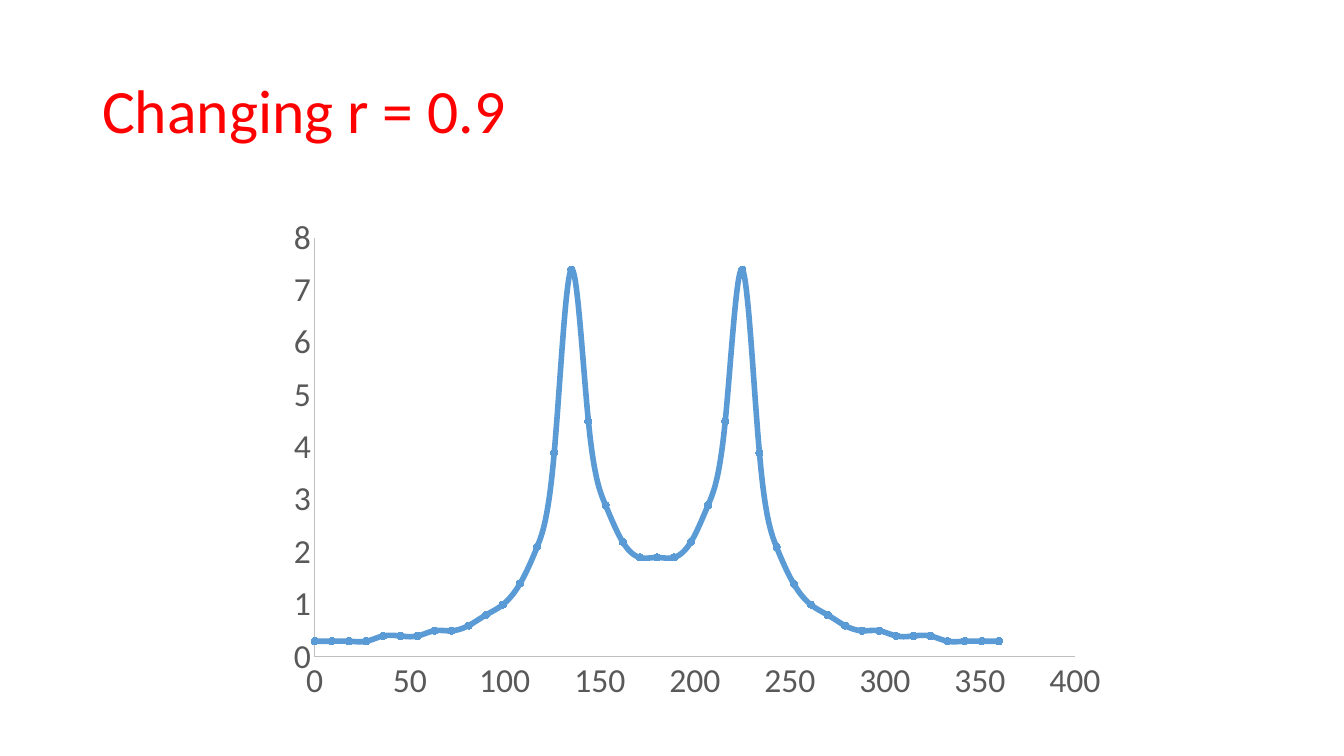
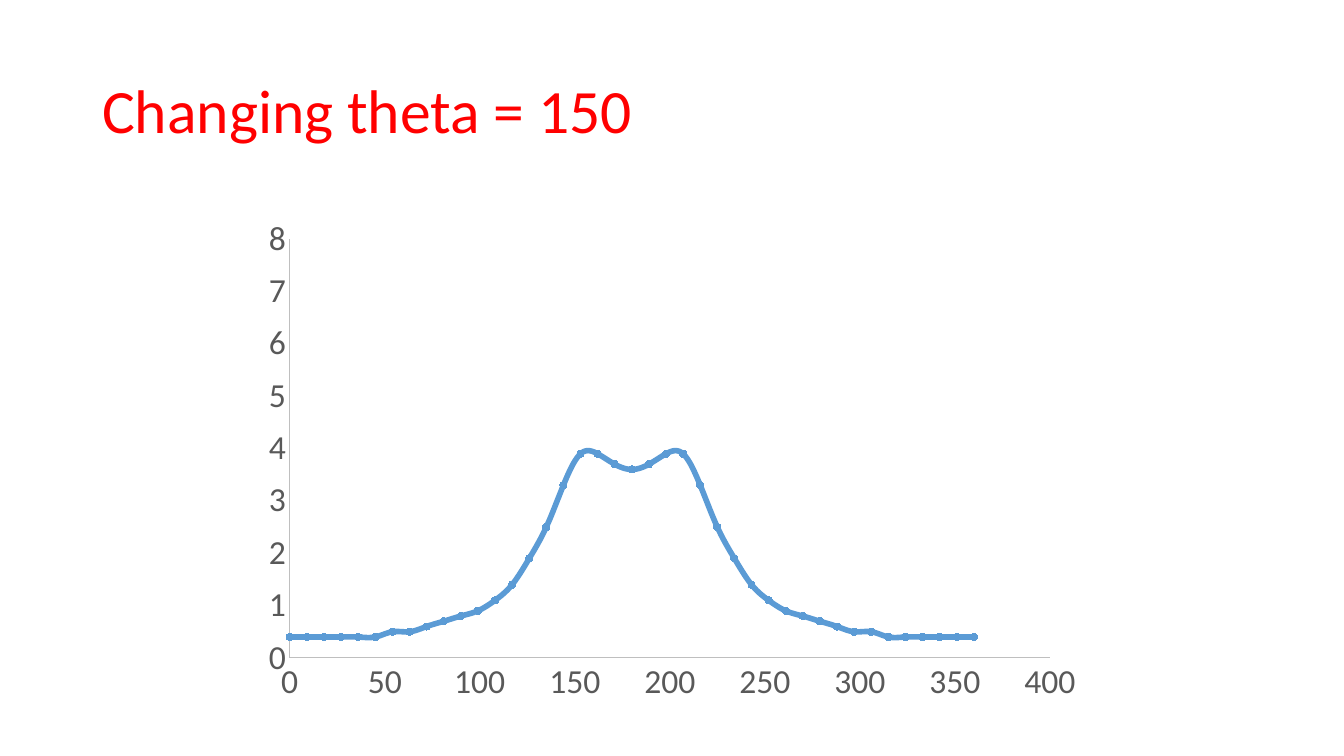
from math import cos, radians, sqrt

from lxml.etree import SubElement
from pptx import Presentation
from pptx.chart.data import XyChartData
from pptx.dml.color import RGBColor
from pptx.enum.chart import XL_CHART_TYPE as Kind, XL_MARKER_STYLE as Mark
from pptx.enum.chart import XL_TICK_MARK as Tick
from pptx.enum.text import MSO_ANCHOR as Anchor, PP_ALIGN as Align
from pptx.oxml.ns import qn
from pptx.util import Emu, Pt

FONT = "Calibri"
RED, BLUE, GREY, PALE, BLACK = "FF0000", "5B9BD5", "595959", "BFBFBF", "000000"
SIZE = 840, 504
PLOT = {"x": 38, "y": 30, "w": 760, "h": 419}
STEP = 9
SLIDES = [
    ("Changing r = 0.9", 0.9, 135, (277, 208)),
    ("Changing theta = 150", 0.7, 150, (252, 209)),
]


def px(n):
    return Emu(round(n * 914400 / 100.8))


def rgb(code):
    return RGBColor.from_string(code)


def style(font, size, color):
    font.name, font.size, font.bold = FONT, Pt(size), False
    font.color.rgb = rgb(color)


def stroke(line, color, width):
    line.color.rgb = rgb(color)
    line.width = Pt(width)


def write(shape, text, size=44, color=RED, align=Align.LEFT, space=0.9):
    frame = shape.text_frame
    frame.word_wrap = True
    frame.vertical_anchor = Anchor.MIDDLE
    para = frame.paragraphs[0]
    para.alignment, para.line_spacing = align, space
    run = para.add_run()
    run.text = text
    style(run.font, size, color)


def add_title(slide, text):
    title = slide.shapes.title
    title.left, title.top = px(92), px(41)
    title.width, title.height = px(1159), px(146)
    write(title, text)


def gain(r, theta, angle):
    """Magnitude at an angle for a pole pair of radius r at plus and minus theta."""
    near, far = (1 + r * r - 2 * r * cos(radians(angle + turn))
                 for turn in (-theta, theta))
    return 1 / sqrt(near * far)


def set_axis(axis, top, unit):
    axis.minimum_scale, axis.maximum_scale, axis.major_unit = 0, top, unit
    axis.has_major_gridlines = False
    axis.major_tick_mark = axis.minor_tick_mark = Tick.NONE
    style(axis.tick_labels.font, 24, GREY)
    stroke(axis.format.line, PALE, 0.75)


def set_plot(chart):
    """Fix the inner plot area as fractions of the chart."""
    area = chart._chartSpace.find(".//" + qn("c:plotArea"))
    old = area.find(qn("c:layout"))
    if old is not None:
        area.remove(old)
    layout = SubElement(area, qn("c:layout"))
    area.insert(0, layout)
    manual = SubElement(layout, qn("c:manualLayout"))
    rules = {"layoutTarget": "inner", "xMode": "edge", "yMode": "edge"}
    for key, n in PLOT.items():
        rules[key] = round(n / SIZE[key in "yh"], 3)
    for key, value in rules.items():
        SubElement(manual, qn("c:" + key)).set("val", str(value))


def set_curve(series):
    stroke(series.format.line, BLUE, 4)
    mark = series.marker
    mark.style, mark.size = Mark.CIRCLE, 5
    mark.format.fill.solid()
    mark.format.fill.fore_color.rgb = rgb(BLUE)
    stroke(mark.format.line, BLUE, 0.75)
    series._element.find(qn("c:smooth")).set("val", "1")


def add_curve(slide, r, theta, spot):
    data = XyChartData()
    points = data.add_series("Series 1")
    for angle in range(0, 361, STEP):
        points.add_data_point(angle, round(gain(r, theta, angle), 1))
    box = [px(n) for n in spot + SIZE]
    chart = slide.shapes.add_chart(Kind.XY_SCATTER_SMOOTH, *box, data).chart
    chart.has_title = chart.has_legend = False
    style(chart.font, 10, BLACK)
    set_axis(chart.category_axis, 400, 50)
    set_axis(chart.value_axis, 8, 1)
    set_plot(chart)
    plot = chart.plots[0]
    plot.vary_by_categories = False
    set_curve(plot.series[0])


def main():
    deck = Presentation()
    deck.slide_width, deck.slide_height = px(1344), px(756)
    for text, r, theta, spot in SLIDES:
        slide = deck.slides.add_slide(deck.slide_layouts[5])
        add_title(slide, text)
        add_curve(slide, r, theta, spot)
    deck.save("out.pptx")


if __name__ == "__main__":
    main()
